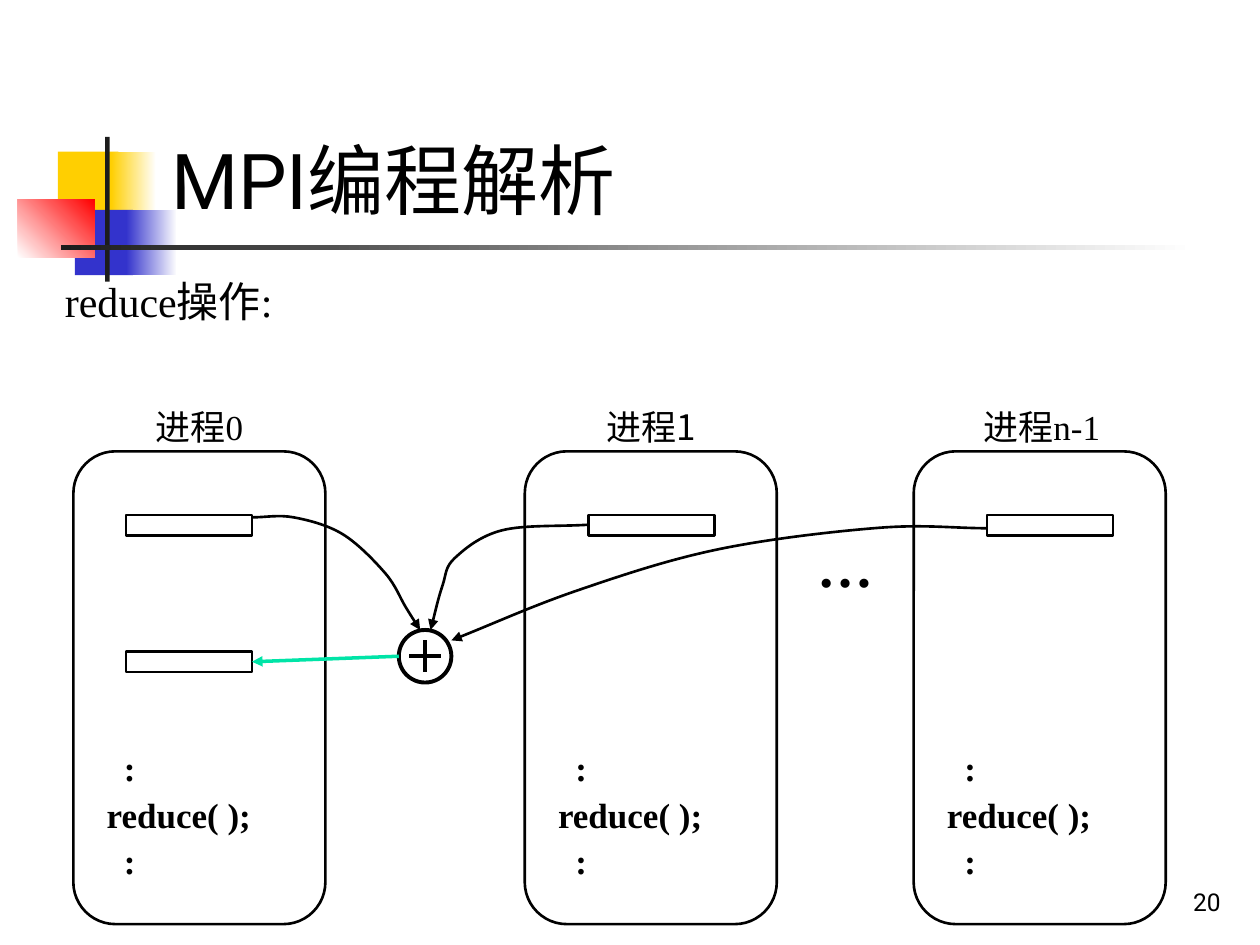
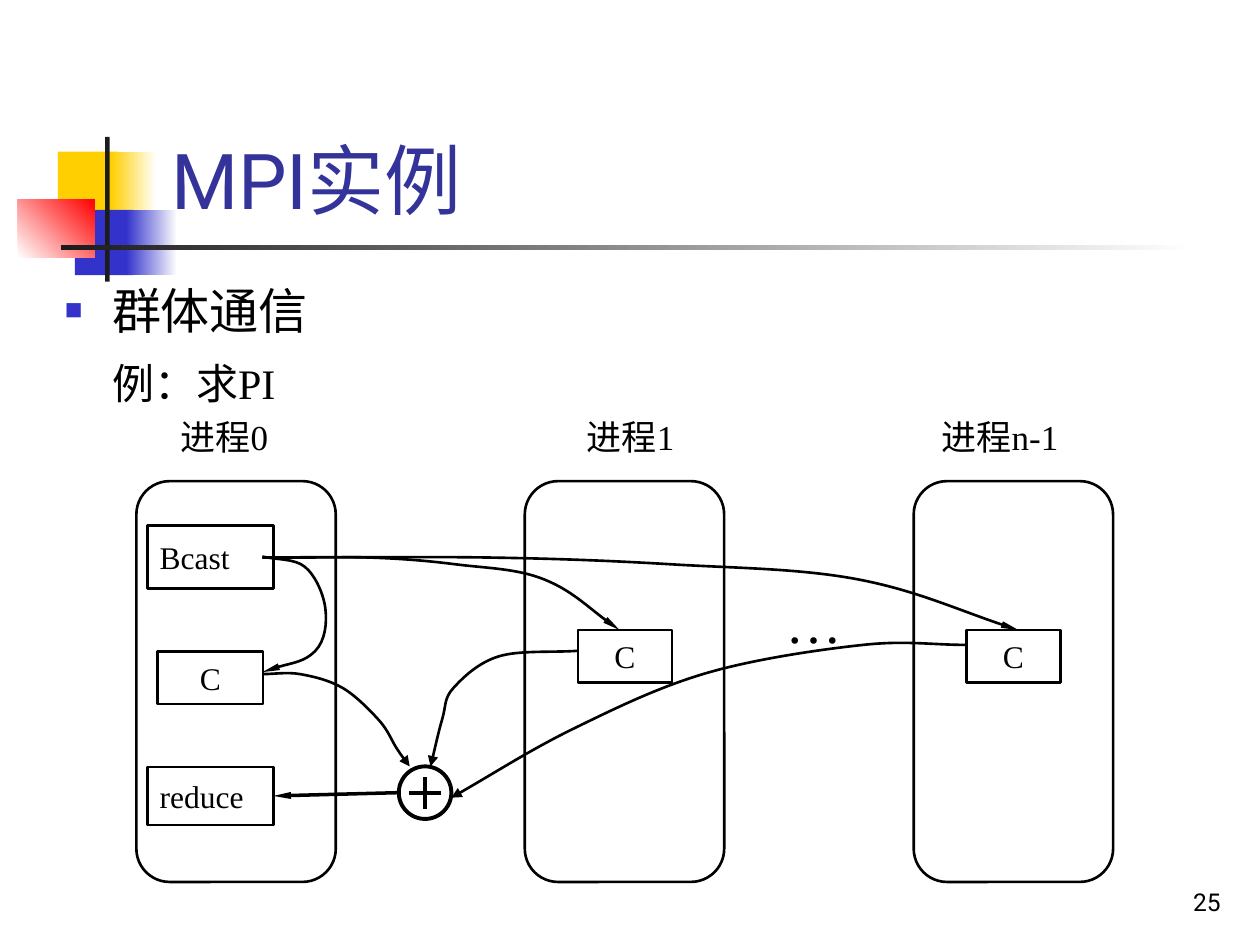
"""Build two slides on MPI collective communication: reduce, and computing PI."""
from lxml import etree
from pptx import Presentation
from pptx.dml.color import RGBColor
from pptx.enum import shapes, text
from pptx.oxml import ns
from pptx.util import Cm, Pt

BLACK = RGBColor(0x00, 0x00, 0x00)
WHITE = RGBColor(0xFF, 0xFF, 0xFF)
INK = RGBColor(0x1C, 0x1C, 0x1C)
YELLOW = RGBColor(0xFF, 0xCF, 0x01)
BLUE = RGBColor(0x33, 0x33, 0xCC)
RED = RGBColor(0xFF, 0x00, 0x00)
TITLE_BLUE = RGBColor(0x33, 0x33, 0x99)
GREEN = RGBColor(0x00, 0xE4, 0xA7)

SERIF, SANS, HAN = "Times New Roman", "Roboto", "Noto Sans CJK SC"
LEFT, CENTER, RIGHT = text.PP_ALIGN.LEFT, text.PP_ALIGN.CENTER, text.PP_ALIGN.RIGHT
RECT, ROUND, OVAL = (shapes.MSO_SHAPE.RECTANGLE, shapes.MSO_SHAPE.ROUNDED_RECTANGLE,
                     shapes.MSO_SHAPE.OVAL)
MEDIUM, SLIM = ("med", "med"), ("sm", "lg")
CIRCLE_LEFT, CIRCLE_SIZE = 8.04, 1.06

BANDS = [
    ((1.17, 3.06, 1.22, 1.32), [YELLOW], 0),
    ((2.24, 3.06, 0.91, 1.32), [YELLOW, WHITE], 0),
    ((1.51, 4.23, 1.17, 1.32), [BLUE], 0),
    ((2.55, 4.23, 1.02, 1.32), [BLUE, WHITE], 0),
    ((0.36, 4.02, 1.55, 1.17), [WHITE, RED], 45),
    ((2.12, 2.76, 0.09, 2.92), [INK], 0),
    ((1.23, 4.94, 22.86, 0.1), [INK, WHITE], 0),
]

REDUCE = {
    "title": ("MPI编程解析", BLACK),
    "number": "20",
    "panels": {"lefts": (1.48, 10.58, 18.42), "top": 9.1, "size": (5.08, 9.53)},
    "labels": [("进程0", 2.54, 8.05, 2.96, CENTER, SERIF),
               ("进程1", 11.65, 8.05, 2.96, CENTER, HAN),
               ("进程n-1", 19.26, 8.05, 3.48, CENTER, SERIF)],
    "boxes": [("", (left, 10.38, 2.54, 0.42), LEFT) for left in (2.54, 11.86, 19.9)]
             + [("", (2.54, 13.13, 2.54, 0.42), LEFT)],
    "dots": ((15.88, 10.6, 2.33, 1.64), True),
    "circle_top": 12.7,
    "result": (GREEN, MEDIUM),
    "curves": [
        (MEDIUM, [(5.08, 10.43), (5.92, 10.43), (6.91, 10.77), (7.77, 11.56),
                  (8.18, 12.24), (8.47, 12.7)]),
        (MEDIUM, [(11.86, 10.58), (10.13, 10.69), (9.17, 11.25), (8.92, 11.81),
                  (8.68, 12.7)]),
        (MEDIUM, [(19.9, 10.65), (17.73, 10.64), (14.5, 11.07), (11.68, 11.89),
                  (9.1, 12.91)]),
    ],
}

PI = {
    "title": ("MPI实例", TITLE_BLUE),
    "number": "25",
    "panels": {"lefts": (2.75, 10.58, 18.42), "top": 9.7, "size": (4.02, 8.08)},
    "labels": [("进程0", 3.39, 8.26, 2.96, LEFT, SERIF),
               ("进程1", 11.23, 8.26, 2.96, CENTER, SERIF),
               ("进程n-1", 18.73, 8.26, 3.48, LEFT, SERIF)],
    "boxes": [("Bcast", (2.97, 10.59, 2.54, 1.27), LEFT),
              ("C", (3.18, 13.13, 2.12, 1.06), CENTER),
              ("C", (11.65, 12.7, 1.9, 1.06), CENTER),
              ("C", (19.48, 12.7, 1.9, 1.06), CENTER),
              ("reduce", (2.97, 15.46, 2.54, 1.17), LEFT)],
    "dots": ((15.24, 11.71, 2.33, 1.64), False),
    "circle_top": 15.45,
    "result": (BLACK, SLIM),
    "curves": [
        (SLIM, [(5.29, 11.22), (6.15, 11.43), (6.56, 12.27), (6.35, 13.13),
                (5.29, 13.55)]),
        (SLIM, [(5.29, 11.24), (7.47, 11.24), (9.22, 11.38), (10.97, 11.68),
                (12.49, 12.7)]),
        (SLIM, [(5.29, 11.24), (9.91, 11.24), (13.61, 11.38), (17.3, 11.68),
                (20.53, 12.7)]),
        (MEDIUM, [(5.29, 13.59), (6.05, 13.59), (6.91, 13.87), (7.65, 14.53),
                  (8, 15.09), (8.26, 15.45)]),
        (MEDIUM, [(11.64, 13.12), (10.06, 13.23), (9.14, 13.87), (8.92, 14.48),
                  (8.68, 15.45)]),
        (MEDIUM, [(19.47, 13), (17.4, 13), (14.27, 13.56), (11.58, 14.68),
                  (9.1, 16.08)]),
    ],
}

CODE = [(":", 0.35), ("reduce( );", 0), (":", 0.35)]


def write(para, words, size, font=SERIF, color=BLACK, bold=False):
    span = para.add_run()
    span.text = words
    span.font.size, span.font.name, span.font.bold = Pt(size), font, bold
    span.font.color.rgb = color
    east = etree.SubElement(span.font._element, ns.qn("a:ea"))
    east.set("typeface", HAN)


def add_text(page, at, words, size, align=LEFT, anchor=text.MSO_ANCHOR.TOP, **style):
    box = page.shapes.add_textbox(*map(Cm, at))
    frame = box.text_frame
    frame.word_wrap = True
    frame.vertical_anchor = anchor
    para = frame.paragraphs[0]
    para.alignment = align
    if words:
        write(para, words, size, **style)
    return frame


def next_para(frame, index):
    return frame.add_paragraph() if index else frame.paragraphs[0]


def add_outline(page, kind, at, width=1.5):
    shape = page.shapes.add_shape(kind, *map(Cm, at))
    shape.shadow.inherit = False
    shape.fill.background()
    shape.line.color.rgb = BLACK
    shape.line.width = Pt(width)
    return shape


def add_arrowhead(shape, head):
    tail = etree.SubElement(shape.line._get_or_add_ln(), ns.qn("a:tailEnd"))
    tail.set("type", "triangle")
    tail.set("w", head[0])
    tail.set("len", head[1])


def add_line(page, start, end, color, width):
    line = page.shapes.add_connector(shapes.MSO_CONNECTOR.STRAIGHT, *map(Cm, start + end))
    line.line.color.rgb = color
    line.line.width = Pt(width)
    etree.SubElement(line._element.spPr, ns.qn("a:effectLst"))
    return line


def bezier_points(knots):
    """Give two control points and an end for each part of a Catmull-Rom curve."""
    padded = [knots[0]] + knots + [knots[-1]]
    points = []
    for before, start, end, after in zip(padded, padded[1:], padded[2:], padded[3:]):
        first = 3 if before == start else 6
        last = 3 if after == end else 6
        points.append(tuple(s + (e - b) / first for b, s, e in zip(before, start, end)))
        points.append(tuple(e - (a - s) / last for s, e, a in zip(start, end, after)))
        points.append(end)
    return points


def add_curve(page, head, knots):
    builder = page.shapes.build_freeform(*map(Cm, knots[0]))
    builder.add_line_segments([(Cm(x), Cm(y)) for x, y in bezier_points(knots)], close=False)
    curve = builder.convert_to_shape()
    segments = list(curve._element.iter(ns.qn("a:lnTo")))
    for index in range(0, len(segments), 3):
        bend = etree.Element(ns.qn("a:cubicBezTo"))
        segments[index].addprevious(bend)
        for segment in segments[index:index + 3]:
            bend.append(segment[0])
            segment.getparent().remove(segment)
    curve.shadow.inherit = False
    curve.fill.background()
    curve.line.color.rgb = BLACK
    curve.line.width = Pt(1.5)
    add_arrowhead(curve, head)


def add_frame(page, content):
    for at, colors, angle in BANDS:
        band = page.shapes.add_shape(RECT, *map(Cm, at))
        band.shadow.inherit = False
        band.line.fill.background()
        if len(colors) == 1:
            band.fill.solid()
            band.fill.fore_color.rgb = colors[0]
            continue
        band.fill.gradient()
        band.fill.gradient_angle = angle
        for stop, color, position in zip(band.fill.gradient_stops, colors, (0, 1)):
            stop.color.rgb = color
            stop.position = position
    words, color = content["title"]
    bottom = text.MSO_ANCHOR.BOTTOM
    add_text(page, (3.2, 0.6, 21.64, 4.06), words, 44, anchor=bottom, font=SANS, color=color)
    add_text(page, (19.58, 17.33, 5.28, 1.27), content["number"], 14, RIGHT, bottom, font=SANS)


def add_diagram(page, content):
    panels = content["panels"]
    for left in panels["lefts"]:
        add_outline(page, ROUND, (left, panels["top"], *panels["size"]))
    for words, left, top, width, align, font in content["labels"]:
        add_text(page, (left, top, width, 1.12), words, 20, align, font=font)
    for words, at, align in content["boxes"]:
        box = add_outline(page, RECT, at)
        if words:
            box.text_frame.word_wrap = False
            box.text_frame.vertical_anchor = text.MSO_ANCHOR.MIDDLE
            para = box.text_frame.paragraphs[0]
            para.alignment = align
            write(para, words, 18)
    at, bold = content["dots"]
    add_text(page, at, "…", 32, CENTER, bold=bold)

    top, middle = content["circle_top"], CIRCLE_SIZE / 2
    add_outline(page, OVAL, (CIRCLE_LEFT, top, CIRCLE_SIZE, CIRCLE_SIZE), 2.25)
    x, y, arm = CIRCLE_LEFT + middle, top + middle, 0.32
    add_line(page, (x - arm, y), (x + arm, y), BLACK, 2.25)
    add_line(page, (x, y - arm), (x, y + arm), BLACK, 2.25)
    for head, knots in content["curves"]:
        add_curve(page, head, knots)
    color, head = content["result"]
    arrow = add_line(page, (CIRCLE_LEFT, y), (CIRCLE_LEFT, y), color, 2)
    arrow.end_connect(box, 3)
    add_arrowhead(arrow, head)


def add_code(page):
    for left in REDUCE["panels"]["lefts"]:
        frame = add_text(page, (left + 0.42, 14.93, 4.4, 2.96), "", 20)
        for index, (words, indent) in enumerate(CODE):
            para = next_para(frame, index)
            para.space_before = Pt(2.5)
            para._p.get_or_add_pPr().set("marL", str(Cm(indent)))
            write(para, words, 20, bold=True)


def add_topic(page):
    frame = add_text(page, (1.06, 5.29, 23.5, 3), "", 28)
    for index, (words, size, before) in enumerate([("群体通信", 28, 5.2), ("例：求PI", 24, 4.5)]):
        para = next_para(frame, index)
        para.line_spacing = 1.2
        para.space_before = Pt(before)
        props = para._p.get_or_add_pPr()
        props.set("marL", str(Cm(0.95)))
        if index == 0:
            props.set("indent", str(-Cm(0.95)))
            tint = etree.SubElement(props, ns.qn("a:buClr"))
            etree.SubElement(tint, ns.qn("a:srgbClr")).set("val", str(BLUE))
            etree.SubElement(props, ns.qn("a:buSzPct")).set("val", "60000")
            etree.SubElement(props, ns.qn("a:buFont")).set("typeface", SERIF)
            etree.SubElement(props, ns.qn("a:buChar")).set("char", "■")
        write(para, words, size)


def main():
    deck = Presentation()
    deck.slide_width, deck.slide_height = Cm(25.4), Cm(19.05)
    pages = []
    for content in (REDUCE, PI):
        page = deck.slides.add_slide(deck.slide_layouts[6])
        add_frame(page, content)
        add_diagram(page, content)
        pages.append(page)
    add_text(pages[0], (1.06, 5.42, 7.2, 1.27), "reduce操作:", 24)
    add_code(pages[0])
    add_topic(pages[1])
    deck.save("out.pptx")


if __name__ == "__main__":
    main()
